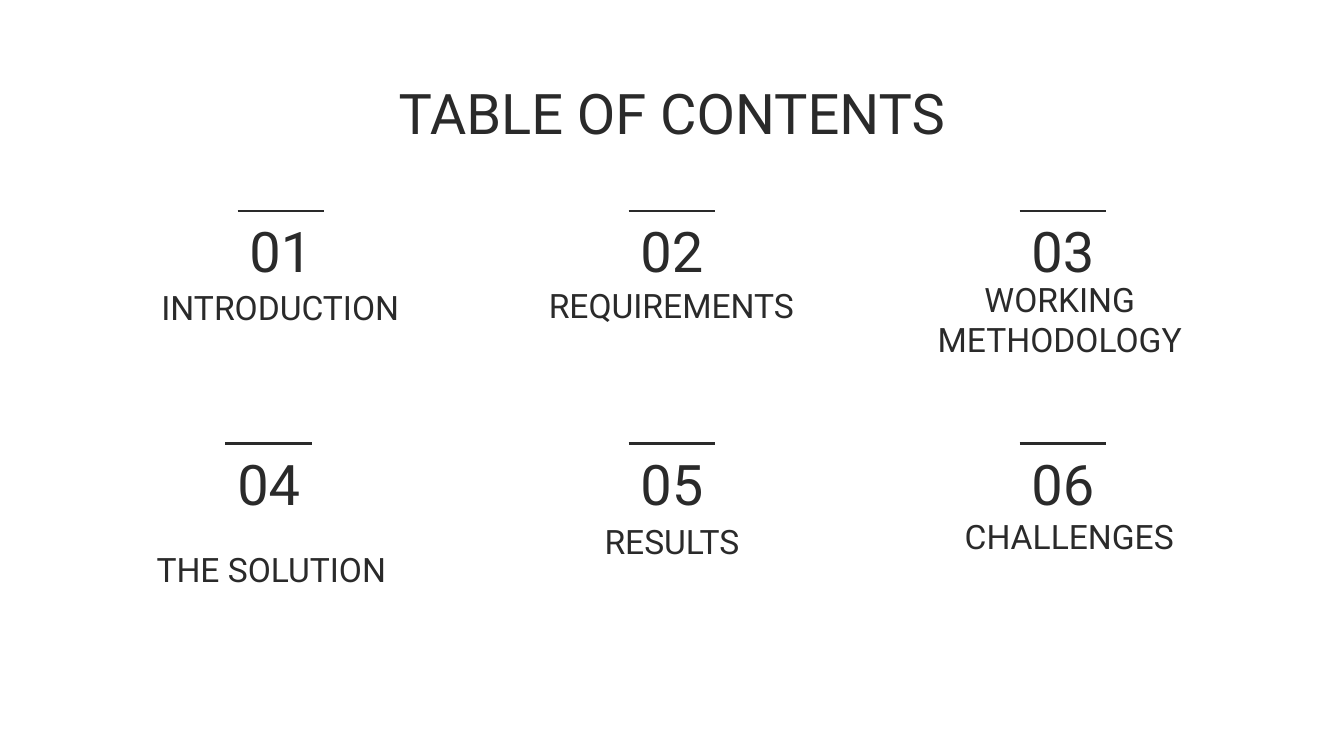
from lxml import etree
from pptx import Presentation
from pptx import util as u
from pptx.dml.color import RGBColor
from pptx.enum import shapes, text
from pptx.oxml.ns import qn

COLORS = {"ink": "2A2A2A", "background": "FFFFFF"}
FONT = "Roboto"
INSET = 0.25
NUMBER_WIDTH, NUMBER_HEIGHT = 2.03, 1.24
RULE_WIDTH = 1.64
ROW_TOPS = (3.99, 8.38)

# Number, column centre, then label with its centre, bottom, width and height
SECTIONS = [
    ("01", 5.31, "INTRODUCTION", 5.3, 6.43, 5.36, 1.24),
    ("02", 12.7, "REQUIREMENTS", 12.69, 6.4, 5.36, 1.24),
    ("03", 20.09, "WORKING METHODOLOGY", 20.03, 7.04, 5.41, 1.24),
    ("04", 5.08, "THE SOLUTION", 5.13, 11.38, 4.93, 1.24),
    ("05", 12.7, "RESULTS", 12.7, 10.85, 3.81, 1.24),
    ("06", 20.09, "CHALLENGES", 20.21, 10.77, 5.05, 1.07),
]


def color(name):
    return RGBColor.from_string(COLORS[name])


def add_text(slide, words, center, top, width, height, size,
             anchor=text.MSO_ANCHOR.BOTTOM):
    """Add a centred text box around a horizontal centre."""
    box = slide.shapes.add_textbox(
        u.Cm(center - width / 2), u.Cm(top), u.Cm(width), u.Cm(height))
    frame = box.text_frame
    frame.word_wrap = True
    frame.vertical_anchor = anchor
    frame.margin_left = frame.margin_right = u.Cm(INSET)
    frame.margin_top = frame.margin_bottom = u.Cm(INSET)
    paragraph = frame.paragraphs[0]
    paragraph.text = words
    paragraph.alignment = text.PP_ALIGN.CENTER
    paragraph.font.name = FONT
    paragraph.font.size = u.Pt(size)
    paragraph.font.color.rgb = color("ink")


def add_rule(slide, center, top):
    """Add a short horizontal line above a number."""
    rule = slide.shapes.add_connector(
        shapes.MSO_CONNECTOR.STRAIGHT,
        u.Cm(center - RULE_WIDTH / 2), u.Cm(top),
        u.Cm(center + RULE_WIDTH / 2), u.Cm(top))
    rule.line.color.rgb = color("ink")
    rule.line.width = u.Pt(1.5)
    etree.SubElement(rule._element.spPr, qn("a:effectLst"))


def main():
    presentation = Presentation()
    presentation.slide_width = u.Cm(25.4)
    presentation.slide_height = u.Cm(14.29)
    slide = presentation.slides.add_slide(presentation.slide_layouts[6])
    slide.background.fill.solid()
    slide.background.fill.fore_color.rgb = color("background")

    # Heading
    add_text(slide, "TABLE OF CONTENTS", 12.7, 1.24, 21.41, 1.6, 30,
             text.MSO_ANCHOR.TOP)

    # Sections in two rows of three
    for index, section in enumerate(SECTIONS):
        number, column, label, center, bottom, width, height = section
        row_top = ROW_TOPS[index // 3]
        add_rule(slide, column, row_top)
        add_text(slide, number, column, row_top + 0.39,
                 NUMBER_WIDTH, NUMBER_HEIGHT, 30)
        add_text(slide, label, center, bottom - height, width, height, 18)

    presentation.save("out.pptx")


if __name__ == "__main__":
    main()
